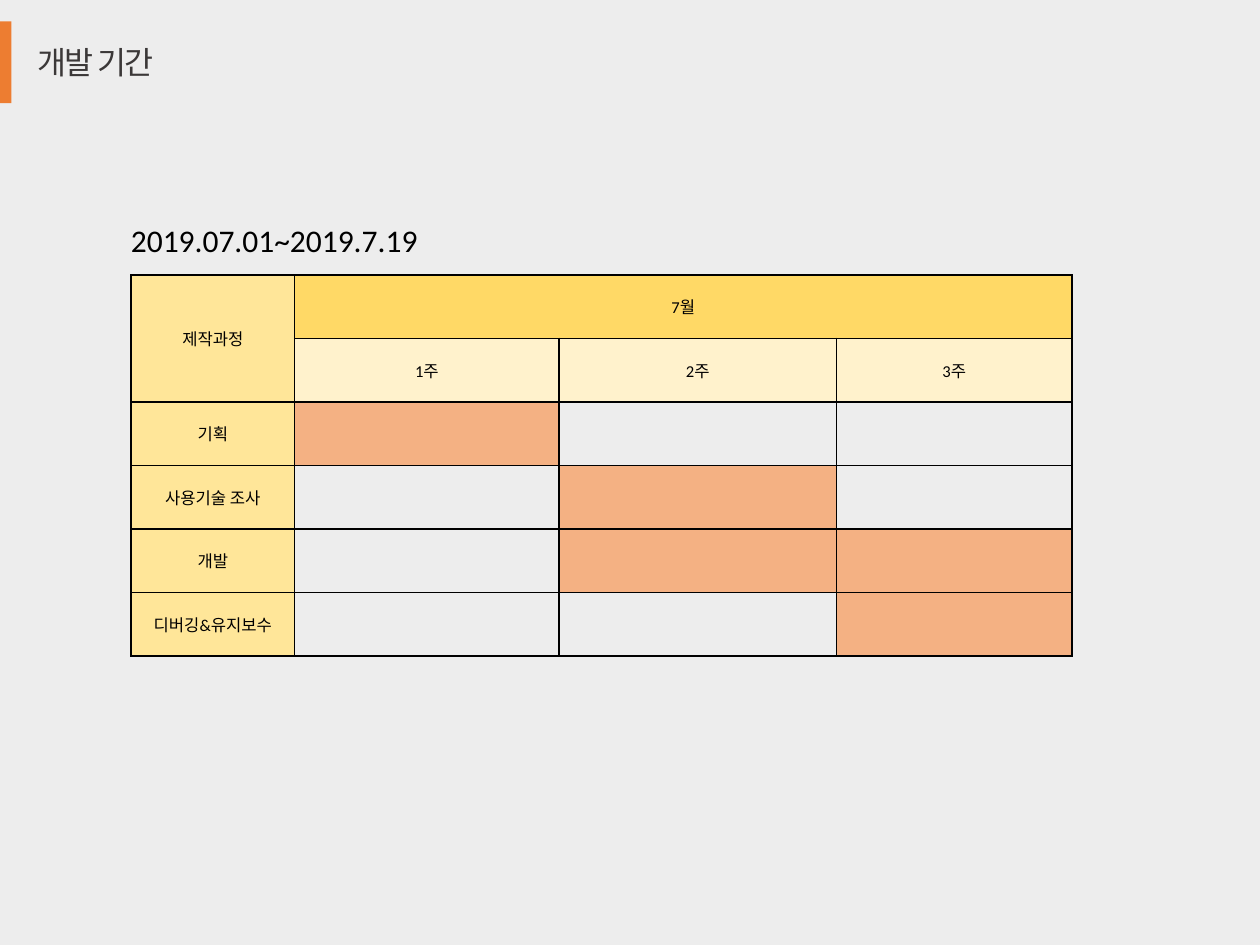
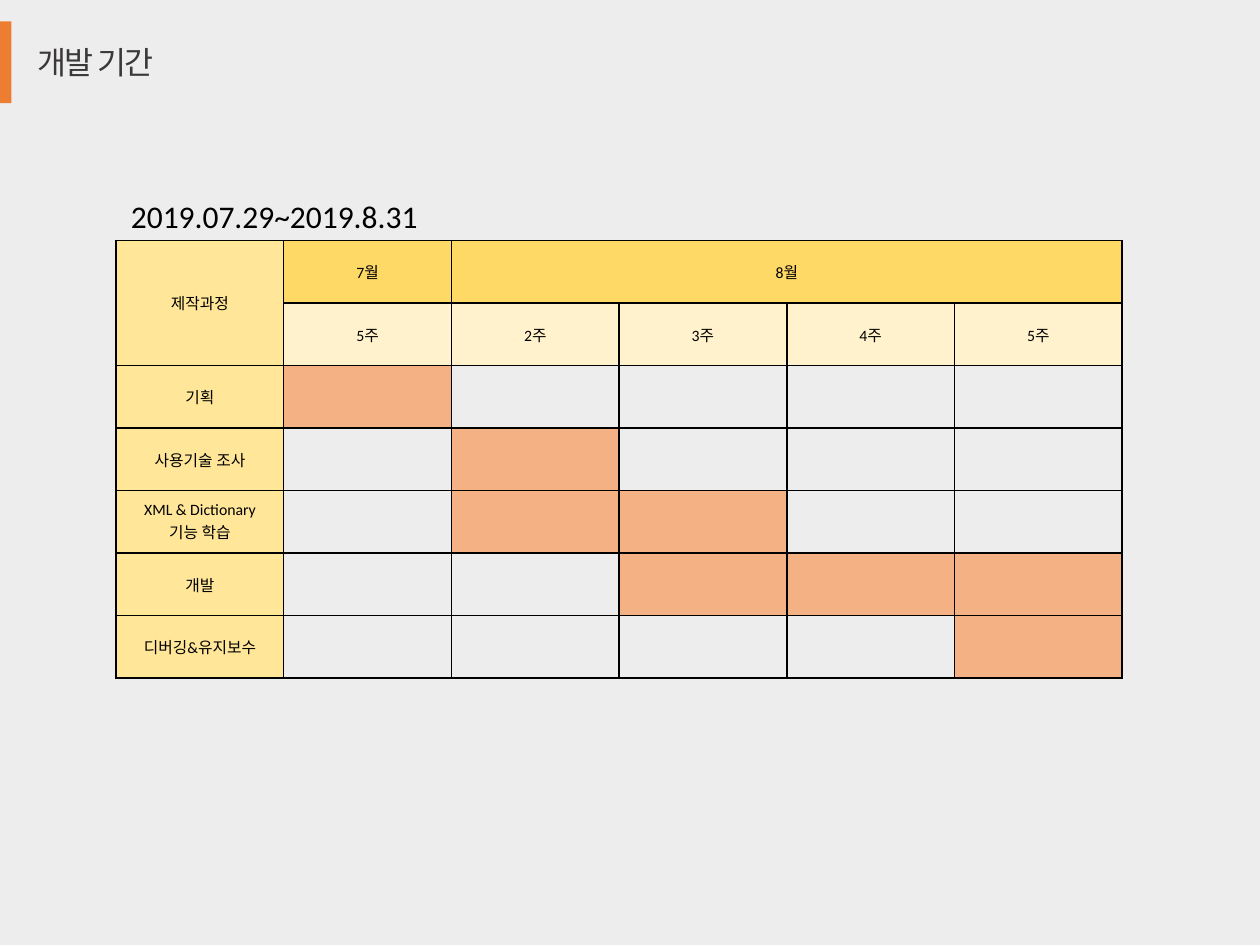
"""Two schedule slides, each a titled table of work steps by week."""
from collections import namedtuple
from dataclasses import dataclass

from lxml.etree import SubElement
from pptx import Presentation
from pptx.dml.color import RGBColor as Rgb
from pptx.enum.shapes import MSO_SHAPE as Shape
from pptx.enum.text import MSO_ANCHOR as Anchor, MSO_AUTO_SIZE as AutoSize, PP_ALIGN as Align
from pptx.oxml.ns import qn
from pptx.util import Cm, Pt

Box = namedtuple("Box", "left top width height")
Schedule = namedtuple("Schedule", "period caption_top left top columns row_height size months weeks steps")


@dataclass(frozen=True)
class Theme:
    """Colours, fonts and type sizes of the slides."""
    background: str = "EDEDED"
    accent: str = "ED7D31"
    title: str = "3B3838"
    text: str = "000000"
    step: str = "FFE699"
    month: str = "FFD966"
    week: str = "FFF2CC"
    active: str = "F4B183"
    title_font: str = "Noto Sans CJK KR"
    body_font: str = "Calibri"
    heading_size: float = 18
    title_spacing: int = -110
    border: float = 1


THEME = Theme()
TITLE = "개발 기간"
HEADER = "제작과정"
HEADER_ROWS = 2
HEADER_BOX = Box(0, 0.43, 0.23, 1.65)

SCHEDULES = [
    Schedule("2019.07.01~2019.7.19", 4.34, 2.64, 5.54, [3.3, 5.33, 5.59, 4.75], 1.28, 9.5,
             [("7월", 3)], ["1주", "2주", "3주"],
             [("기획", {1}), ("사용기술 조사", {2}), ("개발", {2, 3}), ("디버깅&유지보수", {3})]),
    Schedule("2019.07.29~2019.8.31", 3.84, 2.34, 4.85, [3.38] * 6, 1.26, 9,
             [("7월", 1), ("8월", 4)], ["5주", "2주", "3주", "4주", "5주"],
             [("기획", {1}), ("사용기술 조사", {2}), ("XML & Dictionary 기능 학습", {2, 3}),
              ("개발", {3, 4, 5}), ("디버깅&유지보수", {5})]),
]


def apply(target, formats):
    """Set each named attribute of the target."""
    for name, value in formats.items():
        setattr(target, name, value)


def place(shape, box):
    """Move and size a shape to a box in centimetres."""
    apply(shape, {name: Cm(value) for name, value in box._asdict().items()})


def write(frame, text, name, size, color, align=Align.LEFT):
    """Write one formatted paragraph and return its run."""
    paragraph = frame.paragraphs[0]
    paragraph.alignment = align
    run = paragraph.add_run()
    run.text = text
    apply(run.font, {"name": name, "size": Pt(size)})
    run.font.color.rgb = Rgb.from_string(color)
    return run


def add_heading(slide, box):
    """Draw the accent band and the title beside it."""
    band = slide.shapes.add_shape(Shape.RECTANGLE, *map(Cm, box))
    band.shadow.inherit = False
    band.fill.solid()
    band.fill.fore_color.rgb = Rgb.from_string(THEME.accent)
    band.line.fill.background()

    title = slide.shapes.title
    place(title, Box(box.left + 0.51, box.top + 0.31, 3.1, 1.02))
    apply(title.text_frame, {"word_wrap": False, "auto_size": AutoSize.SHAPE_TO_FIT_TEXT,
                             "vertical_anchor": Anchor.TOP})
    run = write(title.text_frame, TITLE, THEME.title_font, THEME.heading_size, THEME.title)
    properties = run.font._element
    properties.set("spc", str(THEME.title_spacing))
    SubElement(properties, qn("a:ea"), typeface=THEME.title_font)


def add_caption(slide, text, box):
    """Write the period above the table."""
    caption = slide.shapes.add_textbox(*map(Cm, box))
    apply(caption.text_frame, {"word_wrap": True, "auto_size": AutoSize.SHAPE_TO_FIT_TEXT})
    write(caption.text_frame, text, THEME.body_font, THEME.heading_size, THEME.text)


def format_cell(cell, color=None):
    """Give a cell its borders and its fill."""
    cell.vertical_anchor = Anchor.MIDDLE
    properties = cell._tc.get_or_add_tcPr()
    for side in ("lnL", "lnR", "lnT", "lnB"):
        line = SubElement(properties, qn(f"a:{side}"), w=str(Pt(THEME.border)))
        SubElement(SubElement(line, qn("a:solidFill")), qn("a:srgbClr"), val=THEME.text)
    if color:
        cell.fill.solid()
        cell.fill.fore_color.rgb = Rgb.from_string(color)
    else:
        cell.fill.background()


def cell_color(schedule, row, column):
    """Return the fill of a table cell, or None when it is empty."""
    if column == 0:
        return THEME.step
    if row < HEADER_ROWS:
        return (THEME.month, THEME.week)[row]
    return THEME.active if column in schedule.steps[row - HEADER_ROWS][1] else None


def add_schedule_table(slide, schedule, box):
    """Draw the table of steps against weeks inside the box."""
    row_count = HEADER_ROWS + len(schedule.steps)
    table = slide.shapes.add_table(row_count, len(schedule.columns), *map(Cm, box)).table
    apply(table, {"first_row": False, "horz_banding": False})
    for column, width in zip(table.columns, schedule.columns):
        column.width = Cm(width)
    for row in table.rows:
        row.height = Cm(box.height / row_count)
    for row in range(row_count):
        for column in range(len(schedule.columns)):
            format_cell(table.cell(row, column), cell_color(schedule, row, column))

    labels = {(0, 0): HEADER}
    table.cell(0, 0).merge(table.cell(HEADER_ROWS - 1, 0))
    start = 1
    for month, span in schedule.months:
        labels[0, start] = month
        if span > 1:
            table.cell(0, start).merge(table.cell(0, start + span - 1))
        start += span
    labels.update({(1, column): week for column, week in enumerate(schedule.weeks, 1)})
    labels.update({(row, 0): step for row, (step, _) in enumerate(schedule.steps, HEADER_ROWS)})
    for position, text in labels.items():
        write(table.cell(*position).text_frame, text, THEME.body_font, schedule.size,
              THEME.text, Align.CENTER)


def add_schedule_slide(presentation, schedule):
    """Add one slide with heading, period and schedule table."""
    slide = presentation.slides.add_slide(presentation.slide_layouts.get_by_name("Title Only"))
    add_heading(slide, HEADER_BOX)
    height = schedule.row_height * (HEADER_ROWS + len(schedule.steps))
    add_schedule_table(slide, schedule,
                       Box(schedule.left, schedule.top, sum(schedule.columns), height))
    add_caption(slide, schedule.period, Box(2.39, schedule.caption_top, 9.37, 1.02))


def main():
    """Build and save the presentation."""
    presentation = Presentation()
    apply(presentation, {"slide_width": Cm(25.4), "slide_height": Cm(19.05)})
    background = presentation.slide_master.background.fill
    background.solid()
    background.fore_color.rgb = Rgb.from_string(THEME.background)
    for schedule in SCHEDULES:
        add_schedule_slide(presentation, schedule)
    presentation.save("out.pptx")


if __name__ == "__main__":
    main()
